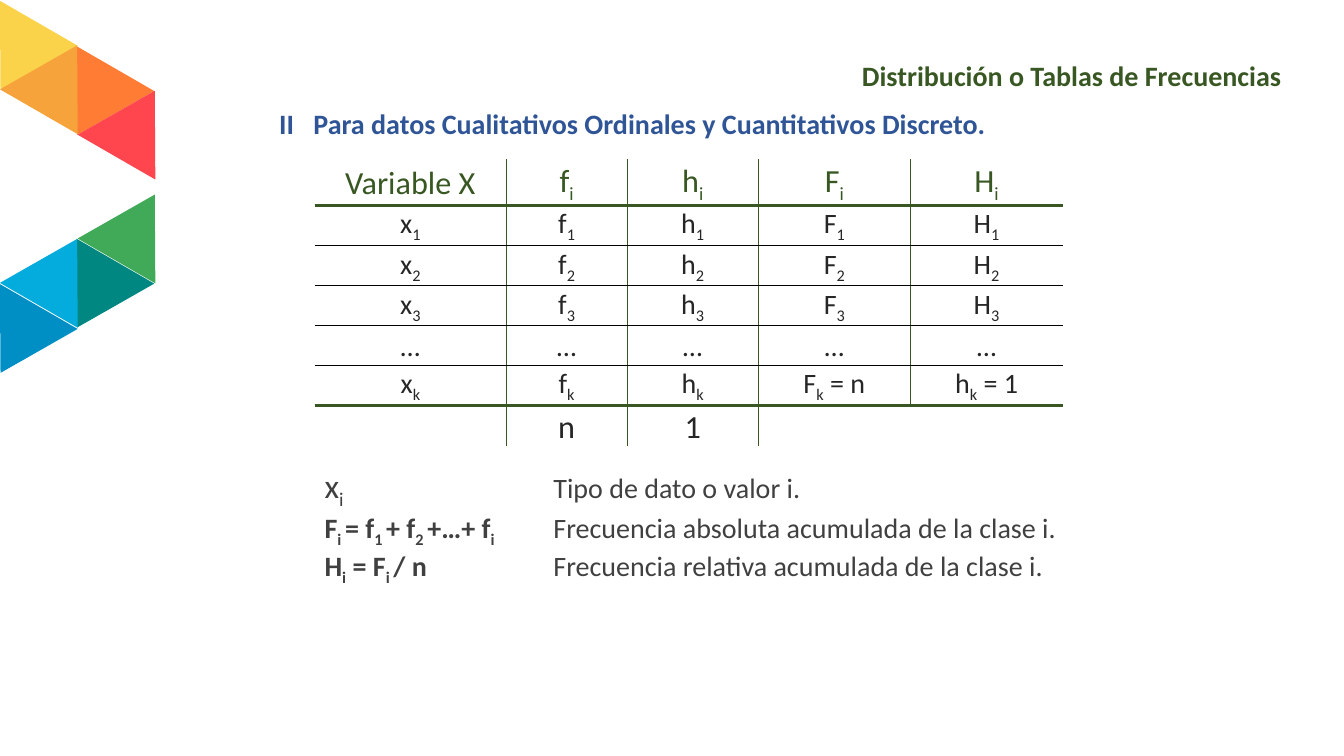
from lxml.etree import SubElement
from pptx import Presentation
from pptx.dml.color import RGBColor
from pptx.enum.shapes import MSO_SHAPE
from pptx.enum.text import MSO_ANCHOR, MSO_AUTO_SIZE, PP_ALIGN
from pptx.oxml.ns import qn
from pptx.util import Pt

PX = 9144  # 100 px to the inch
FONT = "Calibri"
GREEN = RGBColor(0x38, 0x57, 0x23)
BLUE = RGBColor(0x2F, 0x55, 0x97)
BLACK = RGBColor(0, 0, 0)
DARK = RGBColor(0x26, 0x26, 0x26)
GREY = RGBColor(0x40, 0x40, 0x40)

TRIANGLES = [
    (-25, 18, 210, RGBColor(0xFA, 0xD3, 0x4B)),
    (51, 63, 210, RGBColor(0xFF, 0x7C, 0x35)),
    (13, 40, 30, RGBColor(0xF7, 0xA3, 0x3C)),
    (90, 85, 30, RGBColor(0xFF, 0x45, 0x4D)),
    (51, 254, 210, RGBColor(0x00, 0x87, 0x81)),
    (-25, 299, 210, RGBColor(0x00, 0x8F, 0xC4)),
    (13, 232, 30, RGBColor(0x03, 0xAC, 0xDC)),
    (90, 188, 30, RGBColor(0x40, 0xAA, 0x59)),
]

# Text between bars is subscript.
SYMBOLS = "fhFH"
ROWS = [
    ["Variable X"] + [f"{symbol}|i" for symbol in SYMBOLS],
    *[[f"{symbol}|{index}" for symbol in "x" + SYMBOLS] for index in (1, 2, 3)],
    ["…"] * 5,
    ["x|k", "f|k", "h|k", "F|k| = n", "h|k| = 1"],
    ["", "n", "1", "", ""],
]
COLUMN_WIDTHS = [190, 120, 130, 151, 151]
ROW_HEIGHT = 39
LAST_ROW = len(ROWS) - 1
LAST_COLUMN = len(COLUMN_WIDTHS) - 1

DEFINITIONS = [
    ("x|i", 24, False, "Tipo de dato o valor i."),
    ("F|i |= f|1 |+ f|2 |+…+ f|i", 20, True,
     "Frecuencia absoluta acumulada de la clase i."),
    ("H|i| = F|i |/ n", 20, True,
     "Frecuencia relativa acumulada de la clase i."),
]


def add_runs(paragraph, marked_text, size, color, bold=False):
    """Add runs to a paragraph; every second part between bars is subscript."""
    for index, part in enumerate(marked_text.split("|")):
        run = paragraph.add_run()
        run.text = part
        run.font.name = FONT
        run.font.size = Pt(size)
        run.font.bold = bold
        run.font.color.rgb = color
        if index % 2:
            run.font._element.set("baseline", "-25000")


def add_tab_stop(paragraph, position):
    tab_list = SubElement(paragraph._p.get_or_add_pPr(), qn("a:tabLst"))
    SubElement(tab_list, qn("a:tab"), pos=str(position * PX), algn="l")


def add_text_box(slide, left, top, width, height):
    box = slide.shapes.add_textbox(left * PX, top * PX, width * PX, height * PX)
    box.text_frame.word_wrap = True
    return box.text_frame


def add_triangle(slide, left, top, rotation, color):
    shape = slide.shapes.add_shape(
        MSO_SHAPE.ISOSCELES_TRIANGLE, left * PX, top * PX, 89 * PX, 76 * PX)
    shape.rotation = rotation
    shape.shadow.inherit = False
    shape.fill.solid()
    shape.fill.fore_color.rgb = color
    shape.line.fill.background()


def set_title(slide):
    title = slide.shapes.title
    title.left, title.top = 312 * PX, 57 * PX
    title.width, title.height = 969 * PX, 65 * PX
    frame = title.text_frame
    frame.auto_size = MSO_AUTO_SIZE.NONE
    frame.vertical_anchor = MSO_ANCHOR.TOP
    paragraph = frame.paragraphs[0]
    paragraph.alignment = PP_ALIGN.RIGHT
    paragraph.line_spacing = 0.9
    add_runs(paragraph, "Distribución o Tablas de Frecuencias", 20, GREEN, True)


def add_border(cell, side, color, width):
    line = SubElement(cell._tc.get_or_add_tcPr(), qn(f"a:ln{side}"), w=str(Pt(width)))
    fill = SubElement(line, qn("a:solidFill"))
    SubElement(fill, qn("a:srgbClr"), val=str(color))


def add_borders(cell, row, column):
    vertical = 0.5 if row == LAST_ROW else 0.25
    ruled_columns = 3 if row == LAST_ROW else LAST_COLUMN
    if 0 < column <= ruled_columns:
        add_border(cell, "L", GREEN, vertical)
    if column < ruled_columns:
        add_border(cell, "R", GREEN, vertical)
    for side, boundary in (("T", row), ("B", row + 1)):
        if boundary in (1, LAST_ROW):
            add_border(cell, side, GREEN, 2.25)
        elif 1 < boundary < LAST_ROW:
            add_border(cell, side, BLACK, 1)


def format_cell(cell, row, column, text):
    cell.margin_left = cell.margin_right = 14 * PX
    cell.margin_top, cell.margin_bottom = 2 * PX, 0
    cell.vertical_anchor = MSO_ANCHOR.MIDDLE
    add_borders(cell, row, column)
    cell.fill.background()
    if text:
        paragraph = cell.text_frame.paragraphs[0]
        paragraph.alignment = PP_ALIGN.CENTER
        size = 23 if row in (0, LAST_ROW) else 20
        add_runs(paragraph, text, size, DARK if row else GREEN)


def add_frequency_table(slide):
    table = slide.shapes.add_table(
        len(ROWS), len(COLUMN_WIDTHS), 312 * PX, 158 * PX,
        sum(COLUMN_WIDTHS) * PX, ROW_HEIGHT * len(ROWS) * PX).table
    table.first_row = table.horz_banding = False
    style = table._tbl.tblPr.find(qn("a:tableStyleId"))
    style.text = "{2D5ABB26-0587-4C30-8999-92F81FD0307C}"  # no style, no grid
    for column, width in zip(table.columns, COLUMN_WIDTHS):
        column.width = width * PX
    for row, texts in enumerate(ROWS):
        table.rows[row].height = ROW_HEIGHT * PX
        for column, text in enumerate(texts):
            format_cell(table.cell(row, column), row, column, text)
    table.cell(LAST_ROW, 3).merge(table.cell(LAST_ROW, 4))


def add_heading(slide):
    paragraph = add_text_box(slide, 267, 101, 726, 44).paragraphs[0]
    add_tab_stop(paragraph, 34)
    add_runs(paragraph, "II\tPara datos Cualitativos Ordinales y Cuantitativos Discreto.",
             20, BLUE, True)


def add_definitions(slide):
    frame = add_text_box(slide, 312, 456, 761, 148)
    for index, (term, size, bold, meaning) in enumerate(DEFINITIONS):
        paragraph = frame.add_paragraph() if index else frame.paragraphs[0]
        add_tab_stop(paragraph, 227)
        add_runs(paragraph, term, size, GREY, bold)
        add_runs(paragraph, "\t" + meaning, 20, GREY)


def main():
    presentation = Presentation()
    presentation.slide_width, presentation.slide_height = 1333 * PX, 750 * PX
    slide = presentation.slides.add_slide(presentation.slide_layouts[5])
    for triangle in TRIANGLES:
        add_triangle(slide, *triangle)
    add_heading(slide)
    add_definitions(slide)
    add_frequency_table(slide)
    set_title(slide)
    presentation.save("out.pptx")


if __name__ == "__main__":
    main()
